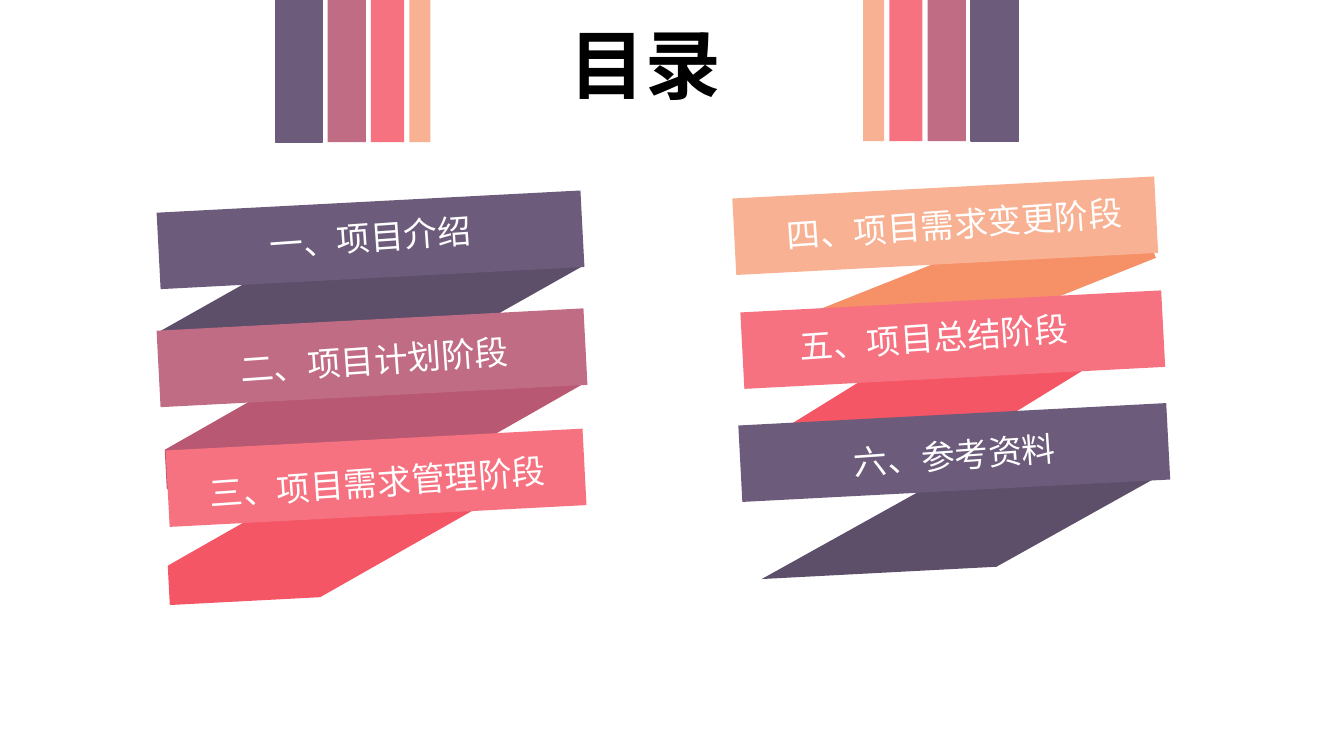
from dataclasses import dataclass

from lxml.etree import SubElement
from pptx import Presentation
from pptx.dml.color import RGBColor
from pptx.enum.shapes import MSO_SHAPE as Shape
from pptx.enum.text import MSO_AUTO_SIZE as AutoSize
from pptx.oxml.ns import qn
from pptx.util import Inches, Pt


@dataclass(frozen=True)
class Theme:
    """Colours, font and type sizes of the deck."""
    plum: str = "6C5B7B"
    mauve: str = "C06C84"
    coral: str = "F67280"
    peach: str = "F8B193"
    dark_plum: str = "5D4E6A"
    dark_mauve: str = "B85873"
    dark_coral: str = "F45665"
    dark_peach: str = "F59067"
    white: str = "FFFFFF"
    black: str = "000000"
    font: str = "Noto Sans CJK SC"
    title_size: int = 54
    item_size: int = 24


THEME = Theme()
BANNER_TILT = 357
LABEL_TILT = 356
BANNER_HEIGHT = 0.76

FOLD_LEFT = [(1, 0), (0.38, 1), (0, 1), (0, 0.68), (0.42, 0)]
FOLD_RIGHT = [(1 - x, 1 - y) for x, y in FOLD_LEFT]
FOLD_STEEP = [(1, 0), (1, 1), (0.45, 1), (0, 0)]

STRIPES = [(0.21, THEME.peach), (0.33, THEME.coral),
           (0.38, THEME.mauve), (0.47, THEME.plum)]

LEFT_FOLDS = [
    ((0, 0.36, 3.98, 1.22), BANNER_TILT, FOLD_LEFT, THEME.dark_plum),
    ((0.26, 0.35, 3.98, 1.22), BANNER_TILT, FOLD_RIGHT, THEME.dark_plum),
    ((0.06, 1.53, 3.93, 1.22), BANNER_TILT, FOLD_LEFT, THEME.dark_mauve),
    ((0.31, 1.52, 3.93, 1.22), BANNER_TILT, FOLD_RIGHT, THEME.dark_mauve),
    ((0.09, 2.68, 3.93, 1.22), BANNER_TILT, FOLD_LEFT, THEME.dark_coral),
]
LEFT_BANNERS = [
    ((0.01, 0, 4.21), THEME.plum, "一、项目介绍", (1.03, 0.1, 2.22, 0.91)),
    ((0.01, 1.17, 4.24), THEME.mauve, "二、项目计划阶段", (0.72, 1.32, 2.89, 0.5)),
    ((0.1, 2.36, 4.14), THEME.coral, "三、项目需求管理阶段", (0.42, 2.53, 3.55, 0.5)),
]
RIGHT_FOLDS = [
    ((0.33, 1.5, 3.84, 1.3), BANNER_TILT, FOLD_LEFT, THEME.dark_coral),
    ((0.24, 2.56, 4.02, 1.22), BANNER_TILT, FOLD_RIGHT, THEME.dark_plum),
    ((0.63, 0.62, 3.54, 0.76), 338.3, FOLD_STEEP, THEME.dark_peach),
]
RIGHT_BANNERS = [
    ((0, 0, 4.19), THEME.peach, "四、项目需求变更阶段", (0.42, 0.11, 3.57, 0.5)),
    ((0.08, 1.13, 4.18), THEME.coral, "五、项目总结阶段", (0.55, 1.19, 4.11, 0.5)),
    ((0.06, 2.25, 4.25), THEME.plum, "六、参考资料", (1.09, 2.4, 2.22, 0.5)),
]


def paint(shape, color):
    """Give a shape a flat fill with no outline or shadow."""
    shape.shadow.inherit = False
    shape.fill.solid()
    shape.fill.fore_color.rgb = RGBColor.from_string(color)
    shape.line.fill.background()


def add_block(page, left, top, width, height, color, tilt=0):
    """Draw a flat rectangle."""
    block = page.shapes.add_shape(Shape.RECTANGLE, Inches(left), Inches(top),
                                  Inches(width), Inches(height))
    paint(block, color)
    block.rotation = tilt
    return block


def add_fold(page, left, top, width, height, outline, color, tilt):
    """Draw a ribbon fold whose outline is given in fractions of its box."""
    points = [(Inches(left + x * width), Inches(top + y * height)) for x, y in outline]
    builder = page.shapes.build_freeform(*points[0])
    builder.add_line_segments(points[1:], close=True)
    fold = builder.convert_to_shape()
    paint(fold, color)
    fold.rotation = tilt


def add_label(page, left, top, width, height, text, size, color, bold=False, tilt=0):
    """Write one line of text in a tilted box."""
    box = page.shapes.add_textbox(Inches(left), Inches(top), Inches(width), Inches(height))
    box.rotation = tilt
    box.text_frame.word_wrap = False
    box.text_frame.auto_size = AutoSize.SHAPE_TO_FIT_TEXT
    para = box.text_frame.paragraphs[0]
    para.text = text
    para.font.size = Pt(size)
    para.font.bold = bold
    para.font.color.rgb = RGBColor.from_string(color)
    para.font.name = THEME.font
    defaults = para._p.pPr.find(qn("a:defRPr"))
    SubElement(defaults, qn("a:ea"), typeface=THEME.font)
    return box


def add_stripes(page, inner_edge, top, direction):
    """Hang stripes outwards from an inner edge, 1 to the right and -1 to the left."""
    offset = 0
    for width, color in STRIPES:
        left = inner_edge + offset if direction > 0 else inner_edge - offset - width
        stripe = add_block(page, left, top, width, 1.41, color)
        if color == THEME.plum:
            stripe.line.color.rgb = RGBColor.from_string(color)
            stripe.line.width = Pt(1)
        offset += width + 0.05


def add_ribbon(page, left, top, folds, banners):
    """Draw a folded ribbon of labelled banners from its top left corner."""
    for (x, y, width, height), tilt, outline, color in folds:
        add_fold(page, left + x, top + y, width, height, outline, color, tilt)
    for (x, y, width), color, text, (label_x, label_y, *label_size) in banners:
        add_block(page, left + x, top + y, width, BANNER_HEIGHT, color, BANNER_TILT)
        label = add_label(page, left + label_x, top + label_y, *label_size, text,
                          THEME.item_size, THEME.white, tilt=LABEL_TILT)
        label.text_frame.word_wrap = text.startswith("五")


def build_contents(deck):
    """Build the contents page."""
    page = deck.slides.add_slide(deck.slide_layouts[6])
    add_stripes(page, 8.56, -0.01, 1)
    add_stripes(page, 4.27, 0, -1)
    add_label(page, 5.55, 0.13, 1.72, 1.01, "目录", THEME.title_size, THEME.black, bold=True)
    add_ribbon(page, 1.56, 2, LEFT_FOLDS, LEFT_BANNERS)
    add_ribbon(page, 7.28, 1.86, RIGHT_FOLDS, RIGHT_BANNERS)


def main():
    """Create the deck and save it."""
    deck = Presentation()
    deck.slide_width, deck.slide_height = Inches(13.33), Inches(7.5)
    build_contents(deck)
    deck.save("out.pptx")


if __name__ == "__main__":
    main()
